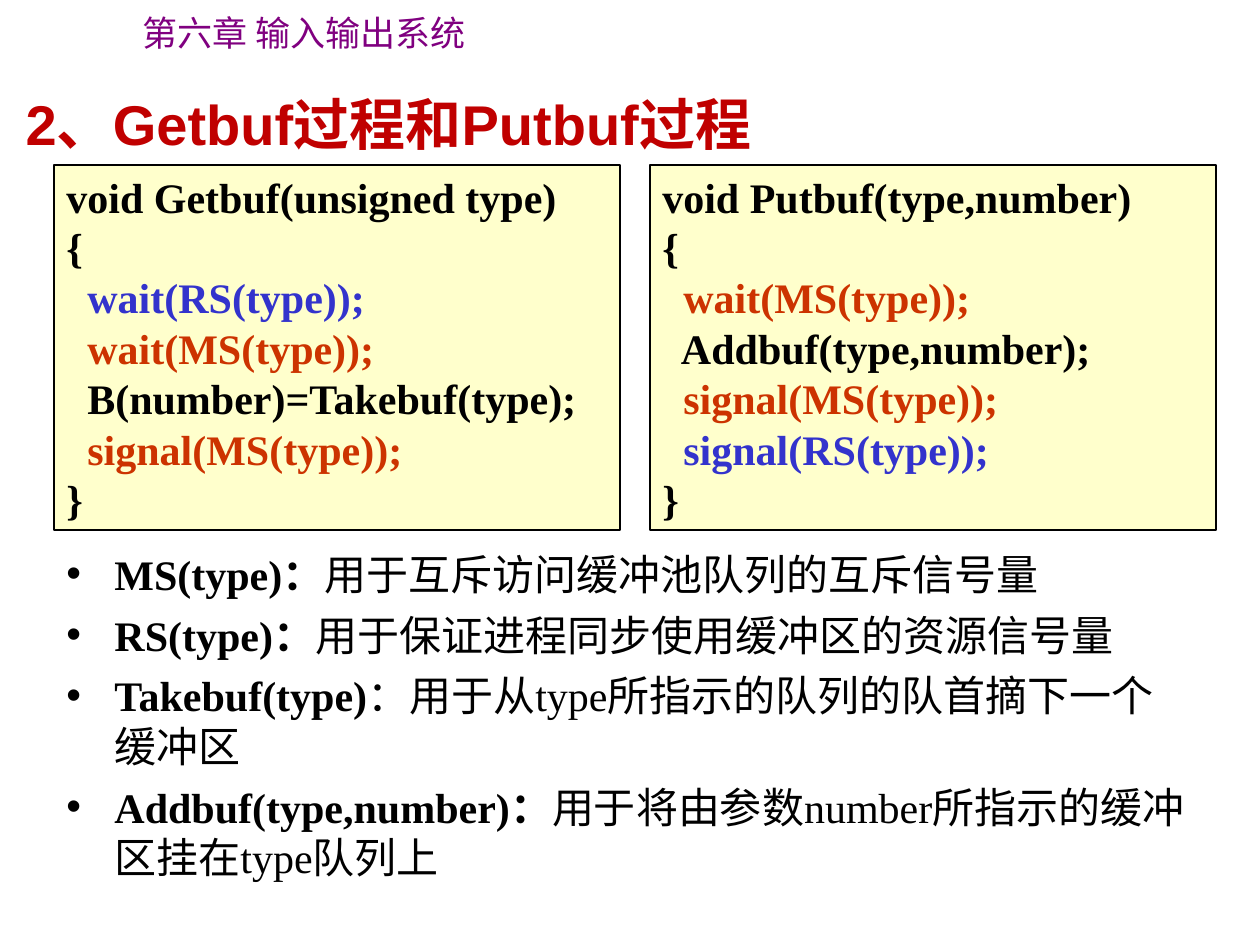
from typing import NamedTuple

from lxml import etree
from pptx import Presentation
from pptx import util as u
from pptx.dml.color import RGBColor
from pptx.enum import shapes, text
from pptx.oxml import ns

PX_PER_INCH = 126
COLORS = {
    "chapter": "800080", "title": "C00000", "text": "000000", "panel": "FFFFCC",
    "resource": "3333CC", "mutex": "CC3300",
}
SERIF, SANS, CJK = "Times New Roman", "Arial", "Noto Sans CJK SC"
LINE_HEIGHT = 1.2


class Run(NamedTuple):
    text: str
    color: str = "text"
    bold: bool = True


class CodePanel(NamedTuple):
    left: int
    lines: list[Run]


class Term(NamedTuple):
    name: Run
    meaning: Run


CODE_TOP, CODE_WIDTH, CODE_HEIGHT = 165, 566, 365
PANELS = [
    CodePanel(54, [
        Run("void Getbuf(unsigned type)"),
        Run("{"),
        Run("  wait(RS(type));", "resource"),
        Run("  wait(MS(type));", "mutex"),
        Run("  B(number)=Takebuf(type);"),
        Run("  signal(MS(type));", "mutex"),
        Run("}"),
    ]),
    CodePanel(650, [
        Run("void Putbuf(type,number)"),
        Run("{"),
        Run("  wait(MS(type));", "mutex"),
        Run("  Addbuf(type,number);"),
        Run("  signal(MS(type));", "mutex"),
        Run("  signal(RS(type));", "resource"),
        Run("}"),
    ]),
]
TERMS = [
    Term(Run("MS(type)："), Run("用于互斥访问缓冲池队列的互斥信号量", bold=False)),
    Term(Run("RS(type)："), Run("用于保证进程同步使用缓冲区的资源信号量", bold=False)),
    Term(Run("Takebuf(type)"),
         Run("：用于从type所指示的队列的队首摘下一个缓冲区", bold=False)),
    Term(Run("Addbuf(type,number)："),
         Run("用于将由参数number所指示的缓冲区挂在type队列上", bold=False)),
]


def px(length: int) -> u.Emu:
    return u.Emu(round(length * 914400 / PX_PER_INCH))


def rgb(name: str) -> RGBColor:
    return RGBColor.from_string(COLORS[name])


def add_bullet(paragraph, indent: int = 48) -> None:
    properties = paragraph._p.get_or_add_pPr()
    properties.set("marL", str(px(indent)))
    properties.set("indent", str(-px(indent)))
    color = etree.SubElement(properties, ns.qn("a:buClr"))
    etree.SubElement(color, ns.qn("a:srgbClr"), val=COLORS["text"])
    etree.SubElement(properties, ns.qn("a:buFont"), typeface="Arial")
    etree.SubElement(properties, ns.qn("a:buChar"), char="•")


def write(frame, paragraphs, *, size: int, font: str = SERIF, wrap: bool = True,
          bullets: bool = False, gap: int = 0) -> None:
    """Fill a text frame; each paragraph is a sequence of runs."""
    frame.word_wrap = wrap
    frame.auto_size = text.MSO_AUTO_SIZE.NONE
    frame.vertical_anchor = text.MSO_ANCHOR.TOP
    for index, runs in enumerate(paragraphs):
        paragraph = frame.add_paragraph() if index else frame.paragraphs[0]
        if bullets:
            add_bullet(paragraph)
        paragraph.alignment = text.PP_ALIGN.LEFT
        paragraph.line_spacing = u.Pt(size * LINE_HEIGHT)
        paragraph.space_before = u.Pt(gap if index else 0)
        for part in runs:
            run = paragraph.add_run()
            run.text = part.text
            run.font.size = u.Pt(size)
            run.font.bold = part.bold
            run.font.color.rgb = rgb(part.color)
            run.font.name = font
            etree.SubElement(run._r.get_or_add_rPr(), ns.qn("a:ea"), typeface=CJK)


def add_code_panel(slide, panel: CodePanel) -> None:
    box = slide.shapes.add_shape(shapes.MSO_SHAPE.RECTANGLE, px(panel.left), px(CODE_TOP),
                                 px(CODE_WIDTH), px(CODE_HEIGHT))
    box.shadow.inherit = False
    box.fill.solid()
    box.fill.fore_color.rgb = rgb("panel")
    box.line.color.rgb = rgb("text")
    box.line.width = u.Pt(0.75)
    write(box.text_frame, [[line] for line in panel.lines], size=24)


def main() -> None:
    deck = Presentation()
    deck.slide_width, deck.slide_height = px(1260), px(945)
    slide = deck.slides.add_slide(deck.slide_layouts[5])

    chapter = slide.shapes.add_textbox(px(130), px(5), px(348), px(55))
    write(chapter.text_frame, [[Run("第六章 输入输出系统", "chapter", False)]],
          size=20, font=CJK, wrap=False)

    title = slide.shapes.title
    title.left, title.top, title.width, title.height = px(13), px(83), px(830), px(81)
    write(title.text_frame, [[Run("2、Getbuf过程和Putbuf过程", "title")]],
          size=32, font=SANS, wrap=False)

    for panel in PANELS:
        add_code_panel(slide, panel)

    glossary = slide.shapes.add_textbox(px(54), px(542), px(1152), px(278))
    write(glossary.text_frame, TERMS, size=24, bullets=True, gap=6)

    deck.save("out.pptx")


if __name__ == "__main__":
    main()
